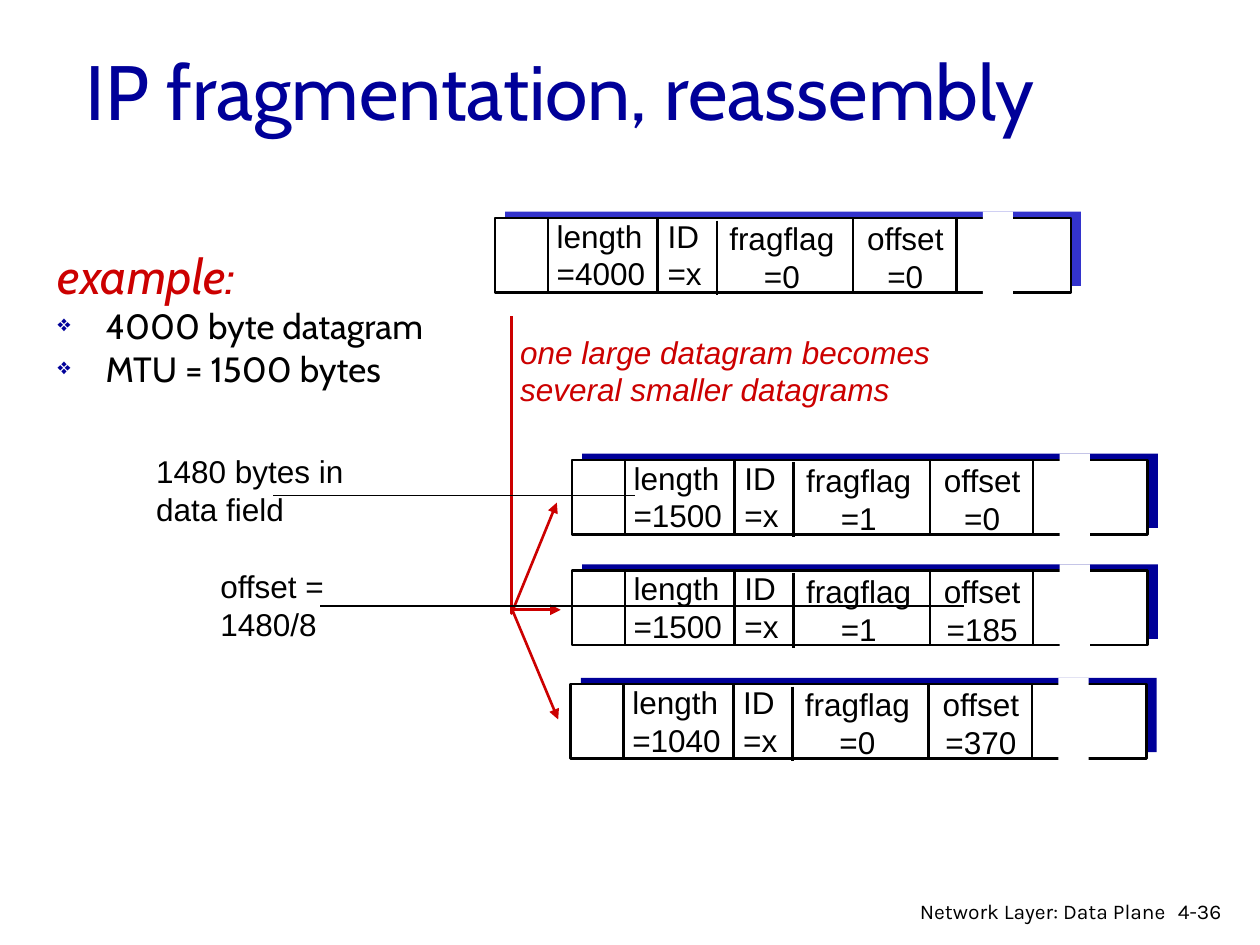
from lxml import etree
from pptx import Presentation
from pptx.dml.color import RGBColor
from pptx.enum.shapes import MSO_CONNECTOR, MSO_SHAPE
from pptx.enum.text import MSO_ANCHOR, MSO_AUTO_SIZE, PP_ALIGN
from pptx.oxml.ns import qn
from pptx.util import Inches, Pt

RECT = MSO_SHAPE.RECTANGLE
LINE = MSO_CONNECTOR.STRAIGHT
MIDDLE = MSO_ANCHOR.MIDDLE
GROW = MSO_AUTO_SIZE.SHAPE_TO_FIT_TEXT
LEFT, MID, RIGHT = PP_ALIGN.LEFT, PP_ALIGN.CENTER, PP_ALIGN.RIGHT
COLORS = {"navy": "000099", "blue": "3333CC", "red": "CC0000",
          "black": "000000", "white": "FFFFFF"}


def color(name):
    """Return the named colour."""
    return RGBColor.from_string(COLORS[name])


def add_run(para, text, size, font, tint, slant=False):
    """Add one formatted run to a paragraph."""
    run = para.add_run()
    run.text = text
    run.font.size = Pt(size)
    run.font.name = font
    run.font.italic = slant
    run.font.color.rgb = color(tint)


def add_text(slide, box, lines, size=18, font="Arial", tint="black",
             align=LEFT, slant=False, wrap=False):
    """Add a text box with one paragraph per line."""
    frame = slide.shapes.add_textbox(*map(Inches, box)).text_frame
    frame.word_wrap = wrap
    if not wrap:
        frame.auto_size = GROW
    for i, text in enumerate(lines):
        para = frame.add_paragraph() if i else frame.paragraphs[0]
        para.alignment = align
        add_run(para, text, size, font, tint, slant)
    return frame


def add_rect(slide, box, fill, edge=None):
    """Add a filled rectangle with an optional edge."""
    shape = slide.shapes.add_shape(RECT, *map(Inches, box))
    shape.shadow.inherit = False
    shape.fill.solid()
    shape.fill.fore_color.rgb = color(fill)
    if edge:
        shape.line.color.rgb = color(edge)
        shape.line.width = Pt(1.5)
    else:
        shape.line.fill.background()


def style_line(shape, tint, width, arrow):
    """Set colour, width and arrowhead of a line."""
    shape.line.color.rgb = color(tint)
    shape.line.width = Pt(width)
    if arrow:
        stroke = shape._element.spPr.find(qn("a:ln"))
        etree.SubElement(stroke, qn("a:tailEnd"), type="triangle")


def add_line(slide, ends, tint="black", width=1.5, arrow=False):
    """Add a straight line between two points."""
    shape = slide.shapes.add_connector(LINE, *map(Inches, ends))
    style_line(shape, tint, width, arrow)
    etree.SubElement(shape._element.spPr, qn("a:effectLst"))


def add_packet(slide, box, shade, size, flag, offset):
    """Draw a datagram header with its fields and a gap in the data."""
    x, y, w, h = box
    add_rect(slide, (x + 0.08, y - 0.05, w, h), shade)
    add_rect(slide, box, "white", "black")
    fields = [(1.27, -0.06, 0.47, "ID", "x", LEFT),
              (2.83, -0.04, 0.85, "offset", offset, MID),
              (1.7, -0.04, 1.15, "fragflag", flag, MID),
              (0.39, -0.06, 0.94, "length", size, LEFT)]
    for dx, dy, wide, name, value, align in fields:
        add_text(slide, (x + dx, y + dy, wide, 0.7),
                 [name, f"={value}"], align=align)
    for dx, dy in [(0.42, 0), (1.29, 0), (1.76, 0.02), (2.84, 0), (3.66, 0)]:
        add_line(slide, (x + dx, y + dy, x + dx, y + dy + h))
    add_rect(slide, (x + 3.87, y - 0.05, 0.24, 0.66), "white")


def add_split(slide, box):
    """Draw the red stem, its three arrows and its caption."""
    x, y, w, h = box
    low = y + h
    form = slide.shapes.build_freeform(Inches(x), Inches(y), scale=1.0)
    points = [(x, low), (x + w, low - 0.88)]
    form.add_line_segments([(Inches(a), Inches(b)) for a, b in points], close=False)
    stem = form.convert_to_shape()
    stem.shadow.inherit = False
    stem.fill.background()
    style_line(stem, "red", 1.5, True)
    add_line(slide, (x, low - 0.03, x + 0.39, low - 0.03), "red", arrow=True)
    add_line(slide, (x + 0.01, low - 0.02, x + 0.37, low + 0.84), "red", arrow=True)
    add_text(slide, (x - 0.03, y + 0.08, 3.45, 0.7),
             ["one large datagram becomes", "several smaller datagrams"],
             tint="red", slant=True)


def add_bullet(para):
    """Give a paragraph a hanging diamond bullet."""
    props = para._p.get_or_add_pPr()
    props.set("marL", str(Inches(0.38)))
    props.set("indent", str(Inches(-0.38)))
    tint = etree.SubElement(props, qn("a:buClr"))
    etree.SubElement(tint, qn("a:srgbClr"), val=COLORS["navy"])
    etree.SubElement(props, qn("a:buSzPct"), val="65000")
    etree.SubElement(props, qn("a:buChar"), char="❖")


def add_case(slide, box):
    """Write the example heading and its bullets."""
    frame = add_text(slide, box, ["example:"], 28, "Cabin", "red",
                     slant=True, wrap=True)
    frame.paragraphs[0].line_spacing = 0.85
    for text in ["4000 byte datagram", "MTU = 1500 bytes"]:
        para = frame.add_paragraph()
        add_bullet(para)
        para.line_spacing = 0.85
        para.space_before = Pt(4)
        add_run(para, text, 20, "Cabin", "black")


def add_notes(slide, box):
    """Write the two side labels and draw their leader lines."""
    x, y, w, h = box
    add_text(slide, (x, y, w, h), ["1480 bytes in", "data field"])
    add_text(slide, (x + 0.51, y + 0.91, 1.03, h), ["offset =", "1480/8"])
    add_line(slide, (x + 1.03, y + 0.39, x + 3.9, y + 0.39), width=0.75)
    add_line(slide, (x + 6.51, y + 1.27, x + 1.4, y + 1.27), width=0.75)


def add_title(slide, box):
    """Place and format the title."""
    title = slide.shapes.title
    title.left, title.top, title.width, title.height = map(Inches, box)
    frame = title.text_frame
    frame.vertical_anchor = MIDDLE
    para = frame.paragraphs[0]
    para.alignment = LEFT
    add_run(para, "IP fragmentation, reassembly", 44, "Cabin", "navy")


def add_foot(slide, box):
    """Write the chapter name and the page number."""
    x, y, w, h = box
    add_text(slide, (x + 2.28, y, 0.61, h), ["4-36"], 12, "Karla", wrap=True)
    add_text(slide, (x, y, w, h), ["Network Layer: Data Plane"], 12, "Karla",
             align=RIGHT, wrap=True)


def main():
    """Build the slide and save it."""
    deck = Presentation()
    deck.slide_width, deck.slide_height = Inches(10), Inches(7.5)
    slide = deck.slides.add_slide(deck.slide_layouts[5])
    add_title(slide, (0.58, 0.2, 8.5, 1.02))
    packets = [(3.93, 1.73, "blue", 4000, 0, 0),
               (4.54, 3.65, "navy", 1500, 1, 0),
               (4.54, 4.53, "navy", 1500, 1, 185),
               (4.53, 5.43, "navy", 1040, 0, 370)]
    for x, y, *data in packets:
        add_packet(slide, (x, y, 4.57, 0.59), *data)
    add_split(slide, (4.06, 2.51, 0.36, 2.36))
    add_case(slide, (0.36, 1.97, 3.1, 1.84))
    add_notes(slide, (1.14, 3.54, 1.76, 0.7))
    add_foot(slide, (6.97, 7.08, 2.38, 0.26))
    deck.save("out.pptx")


if __name__ == "__main__":
    main()
